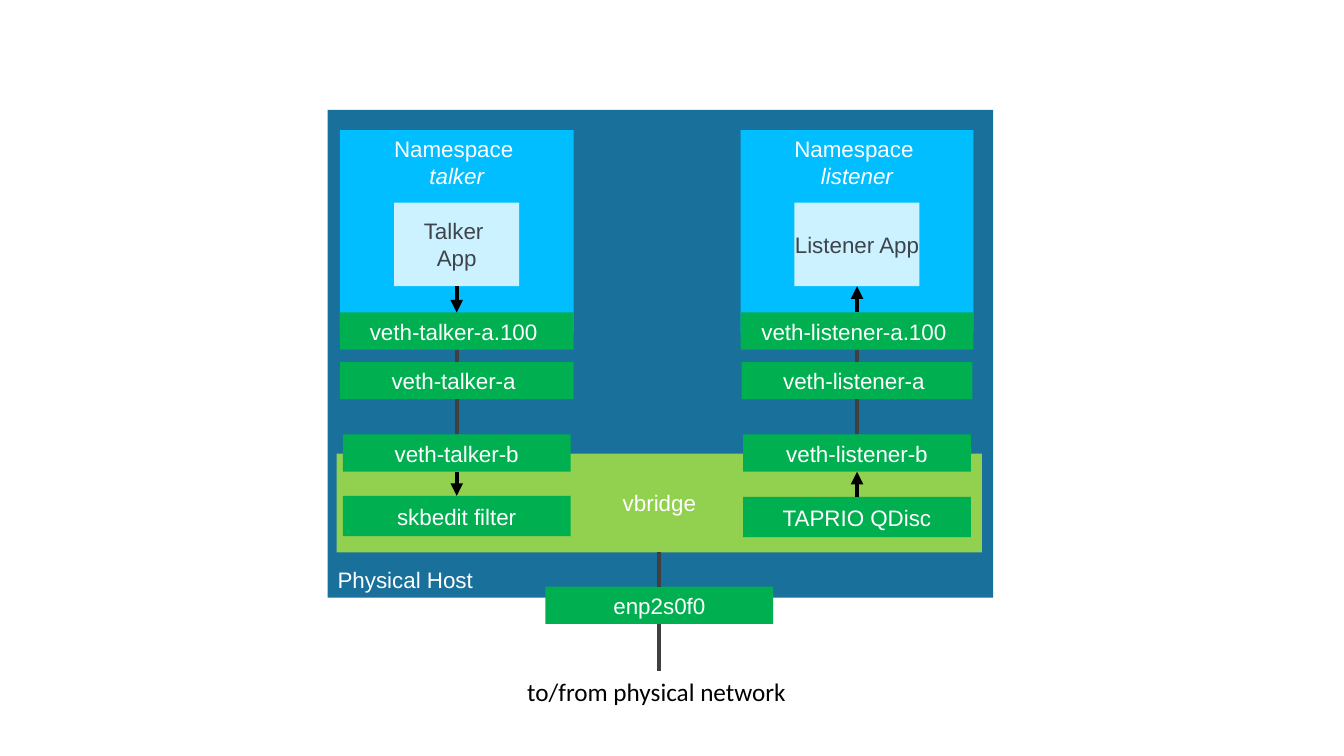
from dataclasses import dataclass

from lxml.etree import SubElement
from pptx import Presentation
from pptx.dml.color import RGBColor
from pptx.enum.shapes import MSO_CONNECTOR as Connector, MSO_SHAPE as Shape
from pptx.enum.text import MSO_ANCHOR as Anchor, PP_ALIGN as Align
from pptx.oxml.ns import qn
from pptx.slide import Slide
from pptx.text.text import TextFrame
from pptx.util import Inches, Pt

HOST_BLUE = "19709B"
NAMESPACE_BLUE = "00BEFF"
APP_BLUE = "CCF2FF"
APP_TEXT = "3E444C"
DEVICE_GREEN = "00B050"
BRIDGE_GREEN = "92D050"
WHITE = "FFFFFF"
BLACK = "000000"
LINK_GREY = "404040"

DEVICE_HEIGHT = 0.37
PORT_WIDTH = 2.26
UPLINK_CENTER = 6.54


@dataclass
class Endpoint:
    role: str
    app: str
    queue: str
    center: float
    width: float
    device_width: float
    queue_top: float
    sends: bool


ENDPOINTS = [
    Endpoint("talker", "Talker \nApp", "skbedit filter", 4.53, 2.32, 2.32, 4.92, True),
    Endpoint("listener", "Listener App", "TAPRIO QDisc", 8.5, 2.31, 2.29, 4.93, False),
]


def color(value: str) -> RGBColor:
    return RGBColor.from_string(value)


def write(frame: TextFrame, text: str, *, ink: str = WHITE, size: float = 16,
          font: str = "Arial", align: Align = Align.CENTER,
          anchor: Anchor = Anchor.MIDDLE, wrap: bool = True,
          italic_last: bool = False) -> None:
    """Write one paragraph, with a line break at each newline."""
    frame.word_wrap = wrap
    frame.vertical_anchor = anchor
    para = frame.paragraphs[0]
    para.alignment = align
    for number, line in enumerate(text.split("\n")):
        if number:
            para.add_line_break()
        span = para.add_run()
        span.text = line
        span.font.size = Pt(size)
        span.font.name = font
        span.font.color.rgb = color(ink)
    if italic_last:
        span.font.italic = True


def add_block(page: Slide, text: str, center: float, top: float, width: float,
              height: float, fill: str, inset: bool = True, **text_format) -> None:
    """Add a filled rectangle centred on a horizontal position."""
    box = page.shapes.add_shape(Shape.RECTANGLE, Inches(center - width / 2),
                                Inches(top), Inches(width), Inches(height))
    box.shadow.inherit = False
    box.fill.solid()
    box.fill.fore_color.rgb = color(fill)
    box.line.fill.background()
    frame = box.text_frame
    if not inset:
        frame.margin_left = frame.margin_right = 0
        frame.margin_top = frame.margin_bottom = 0
    write(frame, text, **text_format)


def add_link(page: Slide, x: float, start: float, end: float,
             ink: str = LINK_GREY, arrow: bool = False) -> None:
    link = page.shapes.add_connector(Connector.STRAIGHT, Inches(x), Inches(start),
                                     Inches(x), Inches(end))
    link.line.color.rgb = color(ink)
    link.line.width = Pt(3)
    if arrow:
        SubElement(link.line._get_or_add_ln(), qn("a:tailEnd"), type="triangle")
    SubElement(link._element.spPr, qn("a:effectLst"))


def add_flow(page: Slide, endpoint: Endpoint, top: float, bottom: float) -> None:
    """Add an arrow that points down for a sender and up for a receiver."""
    start, end = (top, bottom) if endpoint.sends else (bottom, top)
    add_link(page, endpoint.center, start, end, BLACK, arrow=True)


def add_endpoint(page: Slide, endpoint: Endpoint) -> None:
    center, role = endpoint.center, endpoint.role
    add_block(page, f"Namespace \n{role}", center, 1.29, endpoint.width, 2.02,
              NAMESPACE_BLUE, anchor=Anchor.TOP, italic_last=True)
    add_block(page, endpoint.app, center, 2.01, 1.24, 0.83, APP_BLUE,
              inset=False, ink=APP_TEXT)
    devices = [
        (f"veth-{role}-a.100 ", 3.1, endpoint.width),
        (f"veth-{role}-a ", 3.59, endpoint.device_width),
        (f"veth-{role}-b", 4.31, PORT_WIDTH),
    ]
    for name, top, width in devices:
        add_block(page, name, center, top, width, DEVICE_HEIGHT, DEVICE_GREEN)
    for (_, upper, _), (_, lower, _) in zip(devices, devices[1:]):
        add_link(page, center, upper + DEVICE_HEIGHT, lower)
    add_block(page, endpoint.queue, center, endpoint.queue_top, PORT_WIDTH, 0.4,
              DEVICE_GREEN)
    add_flow(page, endpoint, 2.84, 3.1)
    add_flow(page, endpoint, 4.31 + DEVICE_HEIGHT, endpoint.queue_top)


def main() -> None:
    deck = Presentation()
    deck.slide_width, deck.slide_height = Inches(13.33), Inches(7.5)
    page = deck.slides.add_slide(deck.slide_layouts[6])

    add_block(page, "Physical Host", 6.55, 1.09, 6.6, 4.84, HOST_BLUE,
              align=Align.LEFT, anchor=Anchor.BOTTOM)
    add_block(page, "vbridge", UPLINK_CENTER, 4.5, 6.4, 0.98, BRIDGE_GREEN)
    for endpoint in ENDPOINTS:
        add_endpoint(page, endpoint)

    add_block(page, "enp2s0f0", UPLINK_CENTER, 5.82, PORT_WIDTH, DEVICE_HEIGHT,
              DEVICE_GREEN)
    add_link(page, UPLINK_CENTER, 5.48, 5.82)
    add_link(page, UPLINK_CENTER, 6.19, 6.66)
    caption = page.shapes.add_textbox(Inches(5.13), Inches(6.66), Inches(2.81),
                                      Inches(0.4))
    write(caption.text_frame, "to/from physical network", ink=BLACK, size=18,
          font="Calibri", align=Align.LEFT, anchor=Anchor.TOP, wrap=False)
    deck.save("out.pptx")


if __name__ == "__main__":
    main()
